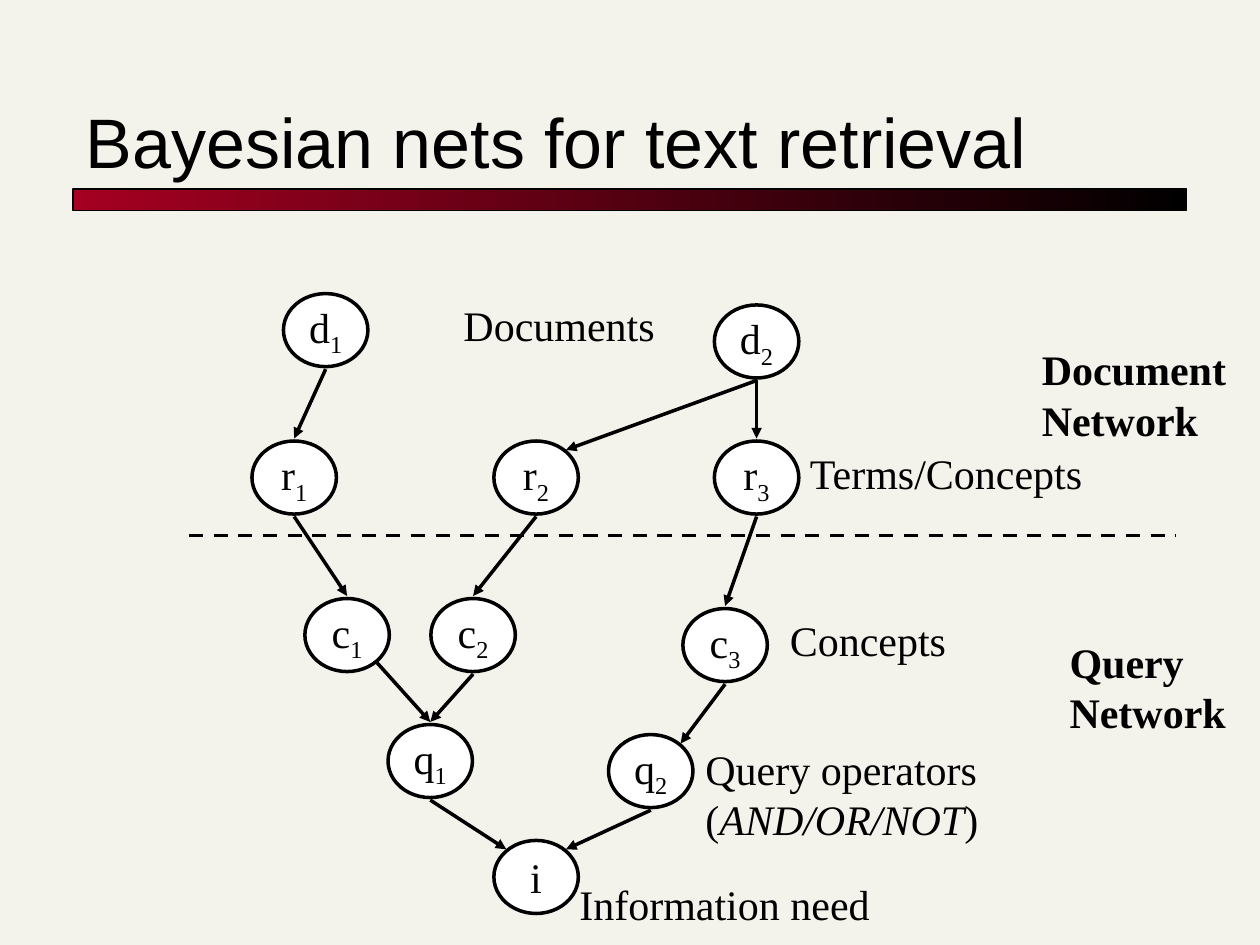
"""Build the slide on Bayesian nets for text retrieval."""
from dataclasses import dataclass
from math import sqrt
from typing import Any, NamedTuple

from lxml.etree import SubElement
from pptx import Presentation
from pptx.dml.color import RGBColor
from pptx.enum.dml import MSO_LINE_DASH_STYLE as Dash
from pptx.enum.shapes import MSO_CONNECTOR as Conn, MSO_SHAPE as Shape
from pptx.enum.text import MSO_ANCHOR as Anchor, MSO_AUTO_SIZE as Auto, PP_ALIGN as Align
from pptx.oxml.ns import qn
from pptx.util import Inches, Pt


@dataclass(frozen=True)
class Theme:
    """Colours, fonts and sizes."""
    paper: RGBColor = RGBColor(0xF4, 0xF3, 0xEB)
    ink: RGBColor = RGBColor(0, 0, 0)
    accent: RGBColor = RGBColor(0xA5, 0, 0x21)
    white: RGBColor = RGBColor(255, 255, 255)
    title_font: str = "Arial"
    body_font: str = "Times New Roman"
    title_size: Pt = Pt(40)
    body_size: Pt = Pt(24)
    stroke: Pt = Pt(2)
    hairline: Pt = Pt(0.75)


class Node(NamedTuple):
    """A network node with its top left corner."""
    letter: str
    sub: str
    x: float
    y: float


class Edge(NamedTuple):
    """An arrow between two nodes, with sites as unit directions."""
    start: str
    end: str
    leave: tuple[float, float] = (0, 1)
    arrive: tuple[float, float] = (0, -1)


class Label(NamedTuple):
    """A text label; each line is a list of (text, italic) runs."""
    x: float
    y: float
    w: float
    h: float
    lines: list[list[tuple[str, bool]]]
    bold: bool = False


THEME = Theme()
NODE_W, NODE_H, GAP = 0.67, 0.58, 0.02
DIAG = 1 / sqrt(2)
TOP_LEFT, TOP_RIGHT, LOW_RIGHT = (-DIAG, -DIAG), (DIAG, -DIAG), (DIAG, DIAG)
BODY = {"name": THEME.body_font, "size": THEME.body_size}

NODES = [
    Node("d", "1", 2.25, 2.33), Node("d", "2", 5.67, 2.42),
    Node("r", "1", 2, 3.5), Node("r", "2", 3.92, 3.5), Node("r", "3", 5.67, 3.5),
    Node("c", "1", 2.42, 4.75), Node("c", "2", 3.42, 4.75), Node("c", "3", 5.42, 4.83),
    Node("q", "1", 3.08, 5.75), Node("q", "2", 4.83, 5.83), Node("i", "", 3.92, 6.67),
]
EDGES = [
    Edge("d1", "r1"), Edge("r1", "c1"), Edge("d2", "r3"),
    Edge("d2", "r2", arrive=TOP_RIGHT), Edge("r3", "c3"), Edge("r2", "c2"),
    Edge("c1", "q1", leave=LOW_RIGHT), Edge("c2", "q1"),
    Edge("c3", "q2", arrive=TOP_RIGHT),
    Edge("q1", "i", arrive=TOP_LEFT), Edge("q2", "i", arrive=TOP_RIGHT),
]
LABELS = [
    Label(8.17, 2.68, 1.83, 0.9, [[("Document", False)], [("Network", False)]], True),
    Label(8.39, 5, 1.5, 0.9, [[("Query", False)], [("Network", False)]], True),
    Label(3.58, 2.33, 1.8, 0.5, [[("Documents", False)]]),
    Label(6.33, 3.5, 2.45, 0.5, [[("Terms/Concepts", False)]]),
    Label(6.17, 4.83, 1.5, 0.5, [[("Concepts", False)]]),
    Label(5.5, 5.85, 2.45, 0.9, [[("Query operators", False)],
                                 [("(", False), ("AND/OR/NOT", True), (")", False)]]),
    Label(4.5, 6.92, 2.6, 0.5, [[("Information need", False)]]),
]


def assign(obj: Any, values: dict[str, Any]) -> None:
    """Set each named attribute."""
    for name, value in values.items():
        setattr(obj, name, value)


def add_run(p: Any, text: str, **style: Any) -> Any:
    """Add a run in the body style."""
    r = p.add_run()
    r.text = text
    assign(r.font, BODY | style)
    r.font.color.rgb = THEME.ink
    return r


def add_title(s: Any, text: str) -> None:
    """Place the title and the gradient bar below it."""
    sp = s.shapes.title
    assign(sp, {"left": Inches(0.58), "top": Inches(0.42),
                "width": Inches(8.83), "height": Inches(1.08)})
    tf = sp.text_frame
    assign(tf, {"auto_size": Auto.NONE, "vertical_anchor": Anchor.BOTTOM})
    p = tf.paragraphs[0]
    p.alignment = Align.LEFT
    add_run(p, text, name=THEME.title_font, size=THEME.title_size)
    bar = s.shapes.add_shape(Shape.RECTANGLE, Inches(0.58), Inches(1.5),
                             Inches(8.84), Inches(0.17))
    bar.shadow.inherit = False
    bar.fill.gradient()
    bar.fill.gradient_angle = 180
    for stop, color in zip(bar.fill.gradient_stops, (THEME.ink, THEME.accent)):
        stop.color.rgb = color
    bar.line.color.rgb = THEME.ink
    bar.line.width = THEME.hairline


def add_node(s: Any, node: Node) -> None:
    """Draw an ellipse with a subscripted letter."""
    sp = s.shapes.add_shape(Shape.OVAL, Inches(node.x), Inches(node.y),
                            Inches(NODE_W), Inches(NODE_H))
    sp.shadow.inherit = False
    sp.fill.solid()
    sp.fill.fore_color.rgb = THEME.white
    sp.line.color.rgb = THEME.ink
    sp.line.width = THEME.stroke
    tf = sp.text_frame
    assign(tf, {"word_wrap": False, "vertical_anchor": Anchor.MIDDLE})
    p = tf.paragraphs[0]
    p.alignment = Align.CENTER
    add_run(p, node.letter)
    if node.sub:
        r = add_run(p, node.sub)
        r.font._element.set("baseline", "-25000")


def site(node: Node, way: tuple[float, float]) -> tuple[float, float]:
    """Return the point just outside the ellipse in a direction."""
    return (node.x + NODE_W / 2 * (1 + way[0]),
            node.y + NODE_H / 2 * (1 + way[1]) + GAP * way[1])


def add_line(s: Any, start: tuple[float, float], end: tuple[float, float],
             arrow: bool = True) -> None:
    """Draw an arrow, or a dashed divider without a head."""
    cx = s.shapes.add_connector(Conn.STRAIGHT, *map(Inches, start + end))
    cx.line.color.rgb = THEME.ink
    cx.line.width = THEME.stroke
    if arrow:
        SubElement(cx.line._get_or_add_ln(), qn("a:tailEnd"), type="triangle")
    else:
        cx.line.dash_style = Dash.DASH
    SubElement(cx._element.spPr, qn("a:effectLst"))


def add_label(s: Any, label: Label) -> None:
    """Write a label of one or more lines."""
    sp = s.shapes.add_textbox(*map(Inches, label[:4]))
    tf = sp.text_frame
    assign(tf, {"word_wrap": True, "auto_size": Auto.SHAPE_TO_FIT_TEXT})
    for i, line in enumerate(label.lines):
        p = tf.add_paragraph() if i else tf.paragraphs[0]
        for text, italic in line:
            add_run(p, text, bold=label.bold, italic=italic)


def main() -> None:
    """Build and save the slide."""
    prs = Presentation()
    assign(prs, {"slide_width": Inches(10), "slide_height": Inches(7.5)})
    s = prs.slides.add_slide(prs.slide_layouts[5])
    s.background.fill.solid()
    s.background.fill.fore_color.rgb = THEME.paper
    add_title(s, "Bayesian nets for text retrieval")
    for node in NODES:
        add_node(s, node)
    by_name = {n.letter + n.sub: n for n in NODES}
    for edge in EDGES:
        add_line(s, site(by_name[edge.start], edge.leave),
                 site(by_name[edge.end], edge.arrive))
    add_line(s, (1.5, 4.25), (9.33, 4.25), arrow=False)
    for label in LABELS:
        add_label(s, label)
    prs.save("out.pptx")


if __name__ == "__main__":
    main()
